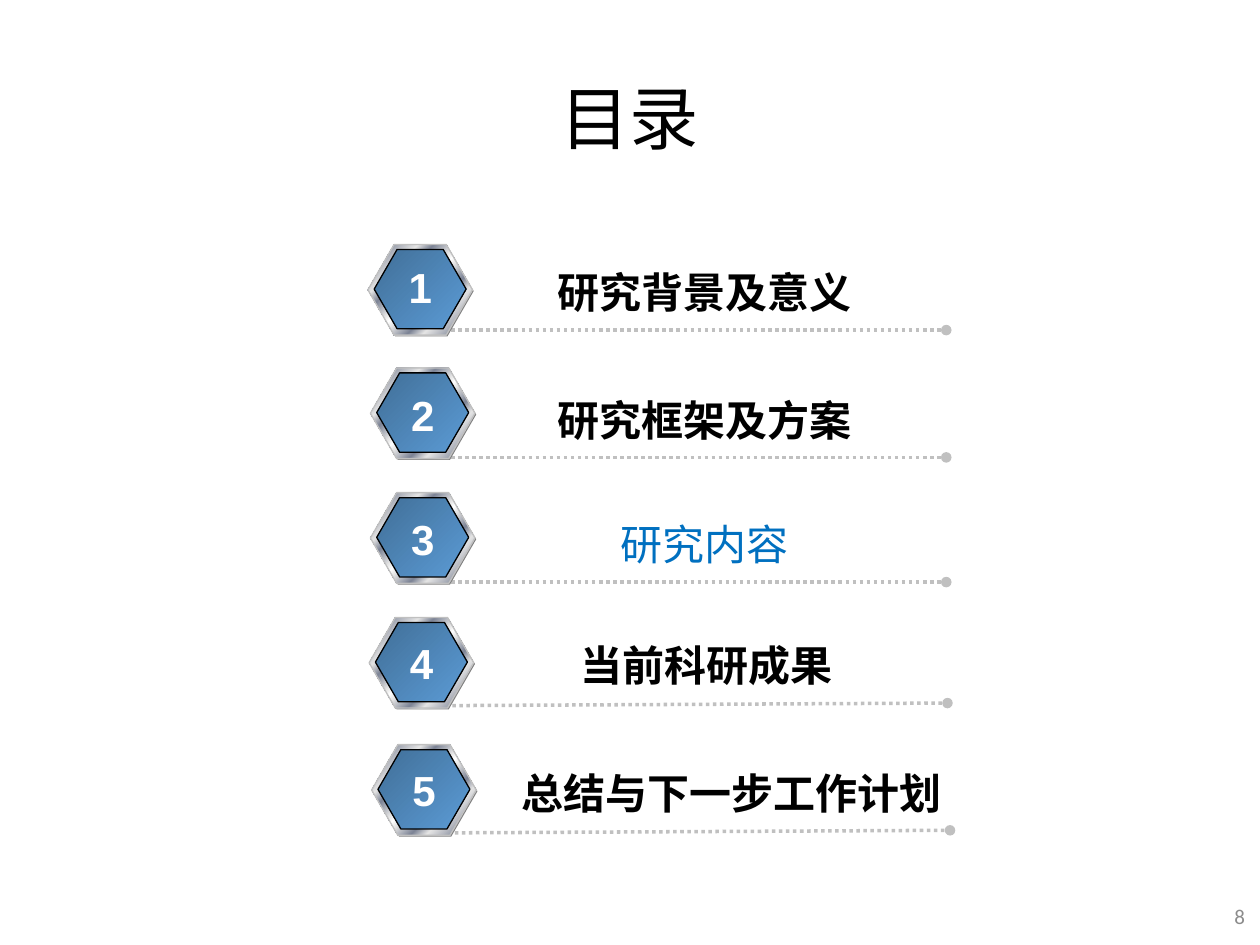
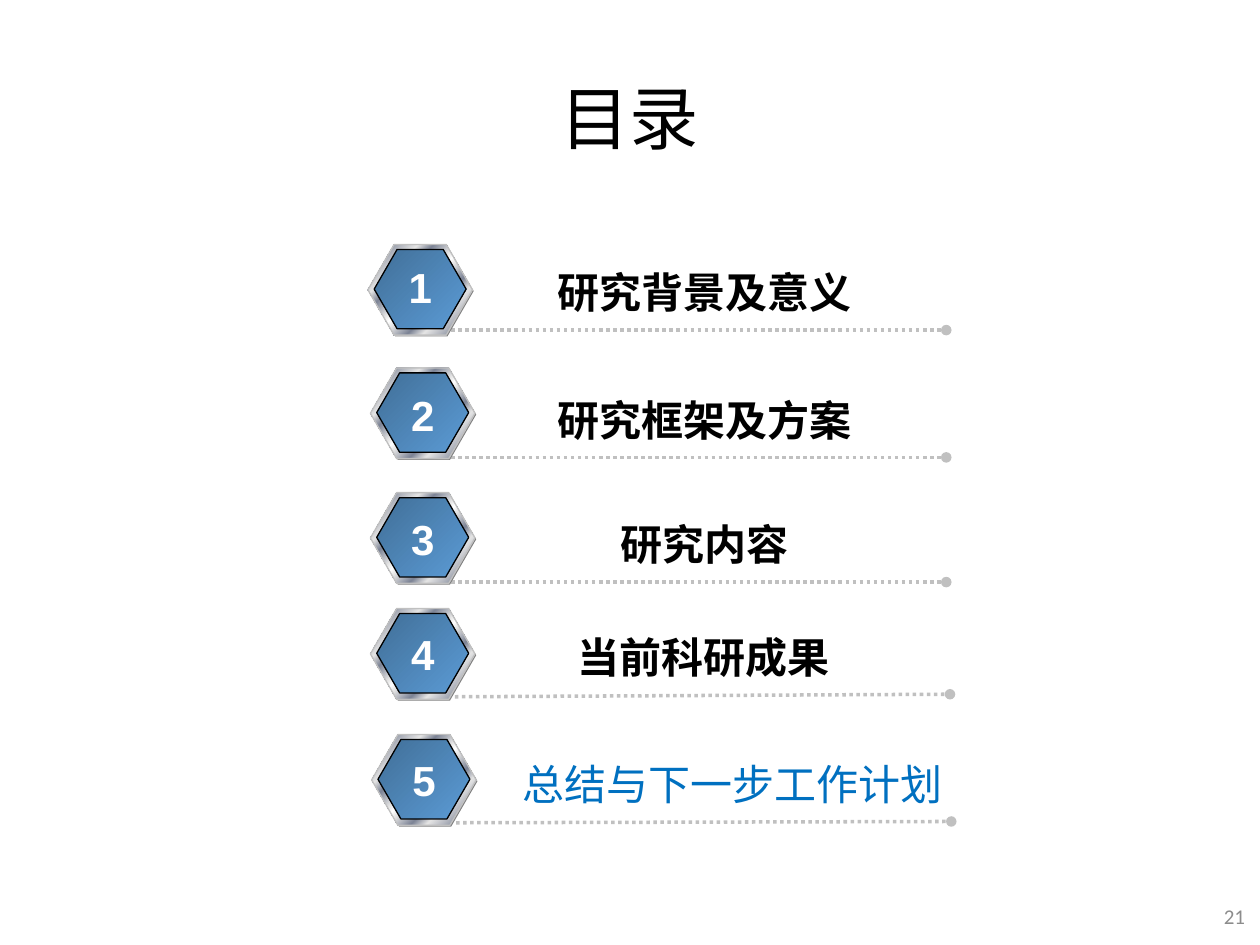
from dataclasses import dataclass
from typing import NamedTuple

from lxml.etree import SubElement
from pptx import Presentation
from pptx.dml.color import RGBColor
from pptx.enum.dml import MSO_LINE
from pptx.enum.shapes import MSO_CONNECTOR, MSO_SHAPE
from pptx.enum.text import MSO_ANCHOR, PP_ALIGN
from pptx.oxml.ns import qn
from pptx.util import Inches, Pt


@dataclass(frozen=True)
class Theme:
    ink: str = "000000"
    accent: str = "0070C0"
    muted: str = "8C8C8C"
    paper: str = "FFFFFF"
    rule: str = "C0C0C0"
    badge_shade: str = "808080"
    rim: tuple = (
        (0, "E6E6E6"), (8, "7D8496"), (26, "E6E6E6"), (34, "7D8496"),
        (46, "E6E6E6"), (50, "FFFFFF"), (54, "E6E6E6"), (66, "7D8496"),
        (74, "E6E6E6"), (92, "7D8496"), (100, "E6E6E6"),
    )
    core: tuple = ((0, "416F98"), (100, "5B9BD5"))
    title_size: float = 39.6
    topic_size: float = 24
    page_size: float = 12
    title_font: str = "Calibri"
    number_font: str = "Arial"
    chinese_font: str = "Noto Sans CJK SC"


class Row(NamedTuple):
    badge_left: float
    badge_top: float
    rule_left: float
    rule_start: float
    rule_end: float
    topic_width: float = 3.53


THEME = Theme()
WIDTH, HEIGHT = Inches(10), Inches(7.5)
COLUMNS = 10
CELL = WIDTH / COLUMNS
RULE_LENGTH = 3.93

TOPICS = ("研究背景及意义", "研究框架及方案", "研究内容", "当前科研成果", "总结与下一步工作计划")
OPENING_ROWS = (
    Row(2.92, 1.94, 3.58, 2.62, 2.62),
    Row(2.94, 2.92, 3.58, 3.63, 3.63),
    Row(2.94, 3.91, 3.58, 4.62, 4.62),
)
CONTENT_ROWS = OPENING_ROWS + (
    Row(2.93, 4.9, 3.59, 5.6, 5.58),
    Row(2.95, 5.91, 3.61, 6.61, 6.59, 3.89),
)
SUMMARY_ROWS = OPENING_ROWS + (
    Row(2.94, 4.83, 3.61, 5.53, 5.51, 3.45),
    Row(2.95, 5.83, 3.62, 6.53, 6.52, 3.89),
)


def cells(*counts):
    return [round(count * CELL) for count in counts]


def add_text(slide, text, area, size, font, color, bold=False,
             align=PP_ALIGN.CENTER, anchor=MSO_ANCHOR.TOP, wrap=True):
    frame = slide.shapes.add_textbox(*cells(*area)).text_frame
    frame.text = text
    frame.word_wrap = wrap
    frame.vertical_anchor = anchor
    paragraph = frame.paragraphs[0]
    paragraph.alignment = align
    run = paragraph.runs[0]
    run.font.size = Pt(size)
    run.font.name = font
    run.font.bold = bold
    run.font.color.rgb = RGBColor.from_string(color)
    SubElement(run.font._element, qn("a:ea"), typeface=THEME.chinese_font)
    return paragraph


def fill_gradient(shape, stops):
    properties = shape._element.spPr
    gradient = SubElement(properties, qn("a:gradFill"), rotWithShape="1")
    stop_list = SubElement(gradient, qn("a:gsLst"))
    for percent, color in stops:
        stop = SubElement(stop_list, qn("a:gs"), pos=str(percent * 1000))
        SubElement(stop, qn("a:srgbClr"), val=color)
    SubElement(gradient, qn("a:lin"), ang="2700000", scaled="0")
    properties.find(qn("a:prstGeom")).addnext(gradient)


def add_hexagon(slide, area, fill, outline=None):
    hexagon = slide.shapes.add_shape(MSO_SHAPE.HEXAGON, *cells(*area))
    hexagon.adjustments[0] = 0.289
    hexagon.shadow.inherit = False
    if isinstance(fill, tuple):
        fill_gradient(hexagon, fill)
    else:
        hexagon.fill.solid()
        hexagon.fill.fore_color.rgb = RGBColor.from_string(fill)
    if outline:
        hexagon.line.color.rgb = RGBColor.from_string(outline)
        hexagon.line.width = Pt(0.75)
    else:
        hexagon.line.fill.background()


def add_badge(slide, left, top):
    add_hexagon(slide, (left + 0.01, top + 0.01, 0.83, 0.72), THEME.badge_shade)
    add_hexagon(slide, (left, top, 0.83, 0.72), THEME.rim, THEME.rule)
    add_hexagon(slide, (left + 0.05, top + 0.04, 0.73, 0.63), THEME.core, THEME.ink)


def add_dotted_rule(slide, row):
    rule = slide.shapes.add_connector(
        MSO_CONNECTOR.STRAIGHT,
        *cells(row.rule_left, row.rule_start,
               row.rule_left + RULE_LENGTH, row.rule_end))
    rule.line.color.rgb = RGBColor.from_string(THEME.rule)
    rule.line.width = Pt(2)
    rule.line.dash_style = MSO_LINE.ROUND_DOT
    SubElement(rule.line._get_or_add_ln(), qn("a:tailEnd"), type="oval")
    SubElement(rule._element.spPr, qn("a:effectLst"))


def add_topic(slide, number, topic, row, current):
    add_dotted_rule(slide, row)
    add_badge(slide, row.badge_left, row.badge_top)
    add_text(slide, str(number),
             (row.badge_left + 0.22, row.rule_start - 0.59, 0.39, 0.5),
             THEME.topic_size, THEME.number_font, THEME.paper,
             bold=True, wrap=False)
    add_text(slide, topic,
             (row.rule_left + 0.25, row.rule_end - 0.55, row.topic_width, 0.5),
             THEME.topic_size, THEME.chinese_font,
             THEME.accent if current else THEME.ink, bold=not current)


def add_contents_slide(deck, rows, current, page):
    slide = deck.slides.add_slide(deck.slide_layouts[6])
    title = add_text(slide, "目录", (0.5, 0.57, 9, 0.79), THEME.title_size,
                     THEME.title_font, THEME.ink, anchor=MSO_ANCHOR.MIDDLE)
    title.line_spacing = 0.9
    for number, (topic, row) in enumerate(zip(TOPICS, rows), 1):
        add_topic(slide, number, topic, row, number == current)
    add_text(slide, str(page), (7.73, 7.07, 2.25, 0.4), THEME.page_size,
             THEME.title_font, THEME.muted, align=PP_ALIGN.RIGHT,
             anchor=MSO_ANCHOR.MIDDLE)


def main():
    deck = Presentation()
    deck.slide_width, deck.slide_height = WIDTH, HEIGHT
    add_contents_slide(deck, CONTENT_ROWS, current=3, page=8)
    add_contents_slide(deck, SUMMARY_ROWS, current=5, page=21)
    deck.save("out.pptx")


if __name__ == "__main__":
    main()
